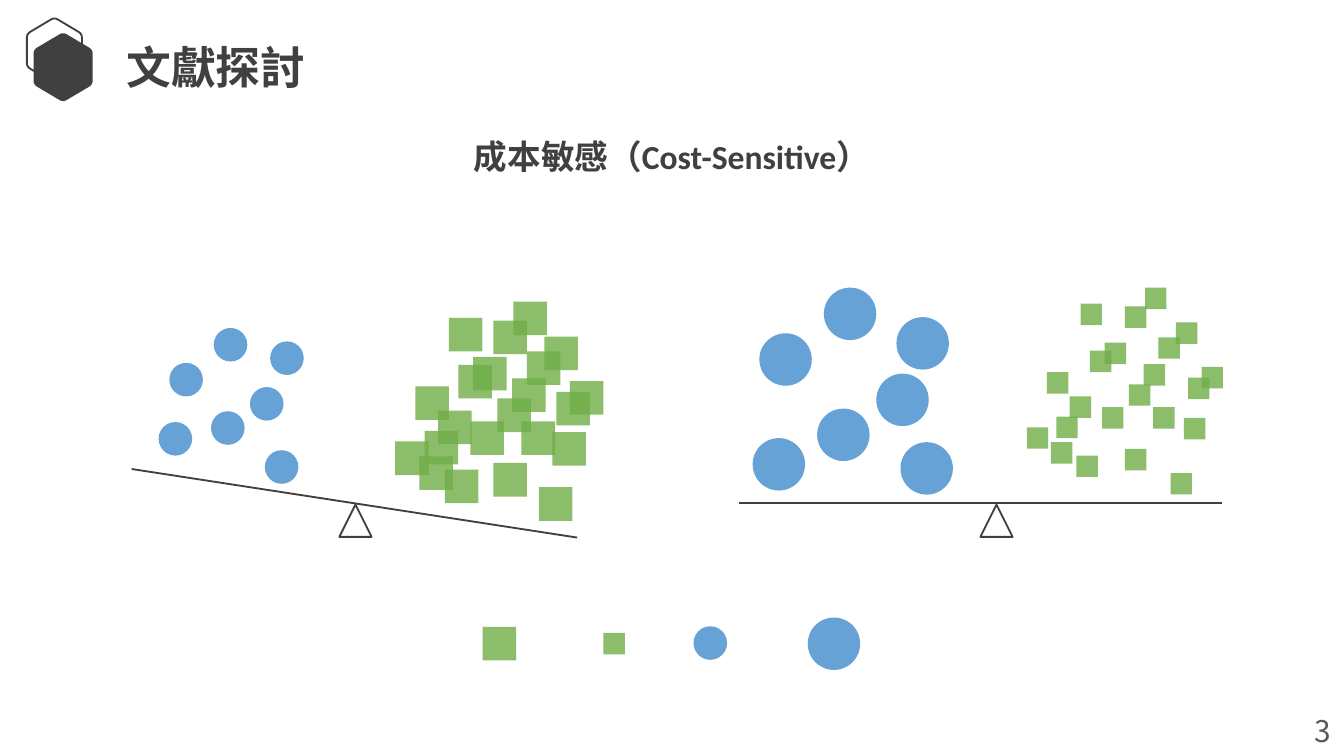
from pptx import Presentation, util as u
from pptx.dml import color
from pptx.enum import shapes, text
from pptx.oxml import ns
from lxml import etree

COLS, ROWS = 1000, 562.5
CELL = u.Inches(0.01)
CJK, LATIN = "Noto Sans CJK JP", "Calibri"
DARK, GRAY, BLUE, GREEN = "404040", "595959", "428BCE", "70AD47"
DOT = shapes.MSO_SHAPE.OVAL
BOX = shapes.MSO_SHAPE.RECTANGLE
SMALL, BIG, TINY = 25, 39, 16

LIGHT = [(126, 270), (157, 306), (159, 244), (118, 314), (197, 335),
         (186, 288), (201, 254)]
HEAVY = [(613, 214), (652, 278), (608, 304), (667, 236), (565, 248),
         (670, 329), (560, 326)]
CLOUD = [(822, 255), (840, 286), (796, 295), (811, 261), (837, 334),
         (801, 339), (871, 352), (881, 311), (858, 303), (862, 251),
         (894, 273), (820, 303), (837, 228), (804, 226), (786, 310),
         (779, 277), (875, 240), (851, 271), (852, 214), (782, 329),
         (764, 318), (884, 281)]


def grid(*cells):
    return [round(c * CELL) for c in cells]


def paint(tone, code):
    tone.rgb = color.RGBColor.from_string(code)


def fill(shape, code, alpha=None):
    shape.fill.solid()
    paint(shape.fill.fore_color, code)
    if alpha:
        node = shape._element.spPr.find(".//" + ns.qn("a:srgbClr"))
        etree.SubElement(node, ns.qn("a:alpha")).set("val", str(alpha * 1000))


def stroke(line):
    paint(line.color, DARK)
    line.width = u.Pt(1)


def marks(group, kind, spots, size, code):
    for x, y in spots:
        mark = group.shapes.add_shape(kind, *grid(x, y, size, size))
        mark.shadow.inherit = False
        fill(mark, code, 80)
        mark.line.fill.background()


def scale(group, start, end, foot):
    base = group.shapes.add_shape(
        shapes.MSO_SHAPE.ISOSCELES_TRIANGLE, *grid(foot, 375.5, 24, 24))
    base.shadow.inherit = False
    base.fill.background()
    stroke(base.line)
    beam = group.shapes.add_connector(
        shapes.MSO_CONNECTOR.STRAIGHT, *grid(*start, *end))
    stroke(beam.line)
    etree.SubElement(beam._element.spPr, ns.qn("a:effectLst"))


def blend(a, b, t):
    return tuple(p + (q - p) * t for p, q in zip(a, b))


def hexa(group, x, y, wide, high):
    share = [(0.5, -0.02), (1, 0.24), (1, 0.76),
             (0.5, 1.02), (0, 0.76), (0, 0.24)]
    tips = [(x + wide * a, y + high * b) for a, b in share]
    dots = []
    for i, tip in enumerate(tips):
        start = blend(tip, tips[i - 1], 0.12)
        end = blend(tip, tips[(i + 1) % 6], 0.12)
        for t in (0, 0.25, 0.5, 0.75, 1):
            dots.append(blend(blend(start, tip, t), blend(tip, end, t), t))
    dots = [grid(*dot) for dot in dots]
    pen = group.shapes.build_freeform(*dots[0])
    pen.add_line_segments(dots[1:], close=True)
    shape = pen.convert_to_shape()
    shape.shadow.inherit = False
    return shape


def logo(slide):
    group = slide.shapes.add_group_shape()
    back = hexa(group, 20, 14, 41, 47)
    back.fill.background()
    stroke(back.line)
    front = hexa(group, 25, 25, 44, 50)
    fill(front, DARK)
    front.line.fill.background()


def write(shape, runs, size, code, bold=False, align="LEFT", anchor="TOP",
          pad=(10, 5), wrap=True):
    frame = shape.text_frame
    frame.word_wrap = wrap
    frame.auto_size = text.MSO_AUTO_SIZE.NONE
    frame.vertical_anchor = getattr(text.MSO_ANCHOR, anchor)
    frame.margin_left = frame.margin_right = grid(pad[0])[0]
    frame.margin_top = frame.margin_bottom = grid(pad[1])[0]
    para = frame.paragraphs[0]
    para.alignment = getattr(text.PP_ALIGN, align)
    for words, face in runs:
        run = para.add_run()
        run.text = words
        font = run.font
        font.size, font.bold, font.name = u.Pt(size), bold, face
        paint(font.color, code)
        east = etree.SubElement(font._element, ns.qn("a:ea"))
        east.set("typeface", face)


def titles(slide):
    head = slide.shapes.title
    head.left, head.top, head.width, head.height = grid(87, 25.5, 177, 48)
    write(head, [("文獻探討", CJK)], 24, DARK, True, pad=(7, 4))
    sub = slide.shapes.add_textbox(*grid(206.5, 96, 587, 40))
    write(sub, [("成本敏感（", CJK), ("Cost-Sensitive", LATIN), ("）", CJK)],
          18, DARK, True, "CENTER", "MIDDLE")
    page = slide.shapes.add_textbox(*grid(968, 525.5, 32, 37))
    write(page, [("3", CJK)], 16, GRAY, wrap=False)


def main():
    deck = Presentation()
    deck.slide_width, deck.slide_height = grid(COLS, ROWS)
    slide = deck.slides.add_slide(deck.slide_layouts[5])
    titles(slide)
    logo(slide)

    even = slide.shapes.add_group_shape()
    scale(even, (549.5, 374), (909.5, 374), 729.5)
    marks(even, DOT, HEAVY, BIG, BLUE)
    marks(even, BOX, CLOUD, TINY, GREEN)

    key = slide.shapes.add_group_shape()
    marks(key, DOT, [(516, 466)], SMALL, BLUE)
    marks(key, BOX, [(359, 466.5)], SMALL, GREEN)
    marks(key, BOX, [(449, 471)], TINY, GREEN)
    marks(key, DOT, [(601, 459.5)], BIG, BLUE)

    tilt = slide.shapes.add_group_shape()
    scale(tilt, (98, 349), (429.5, 400), 252.5)
    marks(tilt, DOT, LIGHT, SMALL, BLUE)
    marks(tilt, BOX, [(x - 470, y + 10.5) for x, y in CLOUD], SMALL, GREEN)
    deck.save("out.pptx")


if __name__ == "__main__":
    main()
